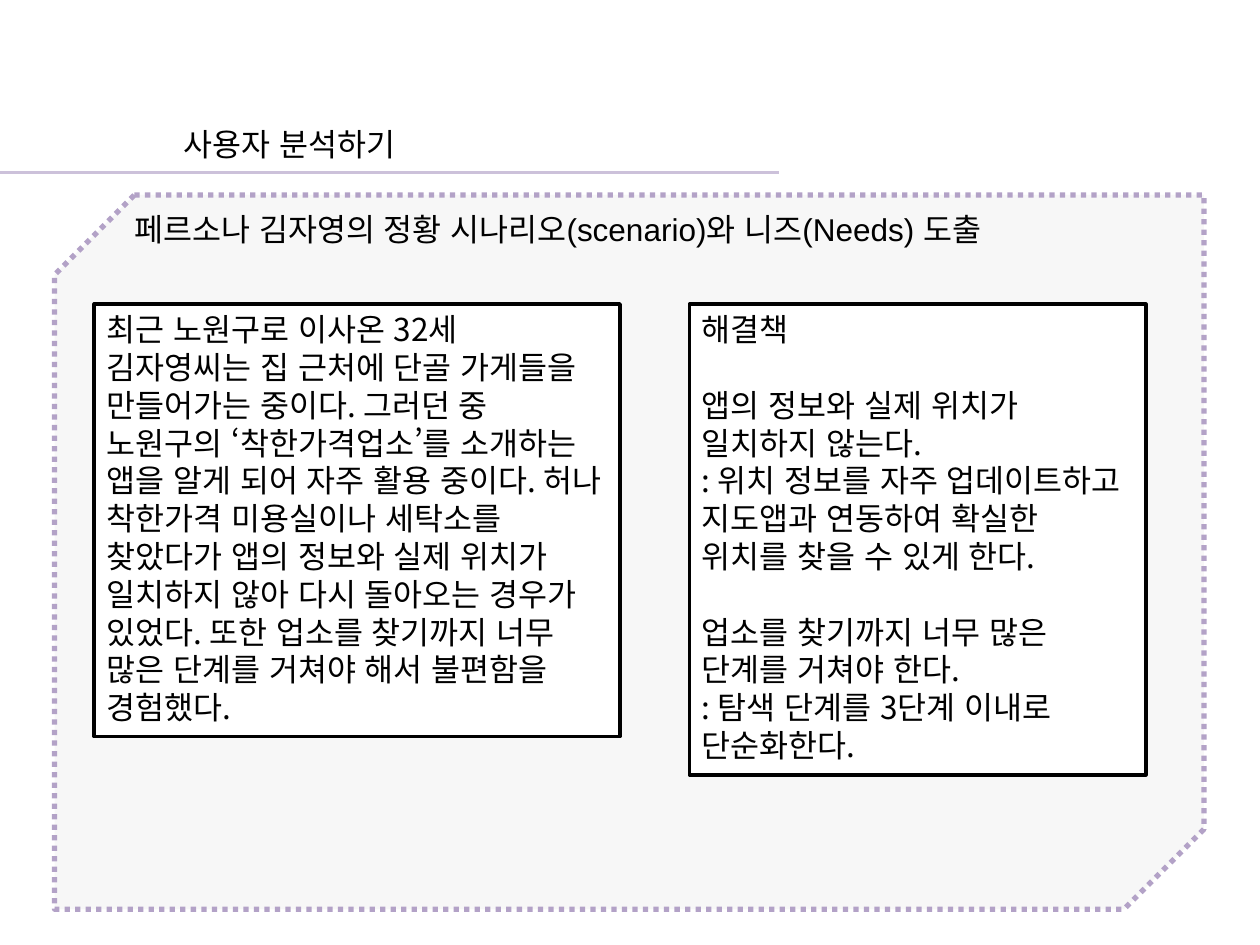
import pptx
import pptx.dml.color
import pptx.enum.dml
import pptx.enum.lang
import pptx.enum.shapes
import pptx.enum.text
import pptx.oxml
import pptx.oxml.ns
import pptx.util
from lxml import etree
from pptx.util import Cm

LINE_PITCH = 21.6
SHAPE = pptx.enum.shapes.MSO_SHAPE
SCENARIO = [
    ("최근 노원구로 이사온 32세 김자영씨는 집 근처에 단골 가게들을 만들어가는 중이다. "
     "그러던 중 노원구의 ‘착한가격업소’를 소개하는 앱을 알게 되어 자주 활용 중이다. "
     "허나 착한가격 미용실이나 세탁소를 찾았다가 앱의 정보와 실제 위치가 일치하지 않아 "
     "다시 돌아오는 경우가 있었다. 또한 업소를 찾기까지 너무 많은 단계를 거쳐야 해서 "
     "불편함을 경험했다.", 0),
]
# Each paragraph with the number of line heights left before it
SOLUTIONS = [
    ("해결책", 0),
    ("앱의 정보와 실제 위치가 일치하지 않는다.", 1),
    (": 위치 정보를 자주 업데이트하고 지도앱과 연동하여 확실한 위치를 찾을 수 있게 한다.", 0),
    ("업소를 찾기까지 너무 많은 단계를 거쳐야 한다.", 1),
    (": 탐색 단계를 3단계 이내로 단순화한다.", 0),
]


def color(hex_value):
    return pptx.dml.color.RGBColor.from_string(hex_value)


def add_run(p, text, font):
    r = p.add_run()
    r.text = text
    r.font.size = pptx.util.Pt(18)
    r.font.name = font
    r.font.language_id = pptx.enum.lang.MSO_LANGUAGE_ID.KOREAN
    r.font.color.rgb = color("000000")


def add_label(s, left, top, width, height, text, wrap):
    tf = s.shapes.add_textbox(left, top, width, height).text_frame
    tf.word_wrap = wrap
    add_run(tf.paragraphs[0], text, "Arial")


def add_box(s, kind, left, top, width, height, fill, line, weight):
    sp = s.shapes.add_shape(kind, left, top, width, height)
    sp.shadow.inherit = False
    sp.fill.solid()
    sp.fill.fore_color.rgb = color(fill)
    sp.line.color.rgb = color(line)
    sp.line.width = pptx.util.Pt(weight)
    return sp


def add_panel(s):
    sp = add_box(s, SHAPE.SNIP_2_DIAG_RECTANGLE, Cm(1.1), Cm(3.93),
                 Cm(23.17), Cm(14.4), "F2F2F2", "B3A2C7", 3)
    sp.adjustments[0] = 0.112
    sp.adjustments[1] = 0
    sp.line.dash_style = pptx.enum.dml.MSO_LINE.ROUND_DOT
    fill = sp._element.spPr.find(pptx.oxml.ns.qn("a:solidFill"))
    etree.SubElement(fill[0], pptx.oxml.ns.qn("a:alpha")).set("val", "60000")


def add_text_card(s, left, width, height, paragraphs):
    sp = add_box(s, SHAPE.RECTANGLE, left, Cm(6.13), width, height,
                 "FFFFFF", "000000", 2)
    tf = sp.text_frame
    tf.word_wrap = True
    tf.vertical_anchor = pptx.enum.text.MSO_ANCHOR.TOP
    for i, (text, gap) in enumerate(paragraphs):
        p = tf.add_paragraph() if i else tf.paragraphs[0]
        p.alignment = pptx.enum.text.PP_ALIGN.LEFT
        p.line_spacing = pptx.util.Pt(LINE_PITCH)
        if gap:
            p.space_before = pptx.util.Pt(gap * LINE_PITCH)
        add_run(p, text, "Noto Sans CJK KR")


def add_rule(s, width, y):
    line = s.shapes.add_connector(
        pptx.enum.shapes.MSO_CONNECTOR.STRAIGHT, Cm(0), y, width, y)
    line.line.color.rgb = color("CCC1DA")
    line.line.width = pptx.util.Pt(1.5)
    etree.SubElement(line._element.spPr, pptx.oxml.ns.qn("a:effectLst"))


def main():
    prs = pptx.Presentation()
    prs.slide_width, prs.slide_height = Cm(25.4), Cm(19.05)
    s = prs.slides.add_slide(prs.slide_layouts[6])

    # Heading with its rule
    add_rule(s, Cm(15.7), Cm(3.48))
    add_label(s, Cm(3.45), Cm(2.39), Cm(5.21), Cm(1.02), "사용자 분석하기", False)

    # Dotted panel and its title
    add_panel(s)
    add_label(s, Cm(2.46), Cm(4.11), Cm(22.25), Cm(1.02),
              "페르소나 김자영의 정황 시나리오(scenario)와 니즈(Needs) 도출", True)

    # Scenario and solutions
    add_text_card(s, Cm(1.9), Cm(10.6), Cm(8.72), SCENARIO)
    add_text_card(s, Cm(13.9), Cm(9.2), Cm(9.49), SOLUTIONS)

    prs.save("out.pptx")


if __name__ == "__main__":
    main()
